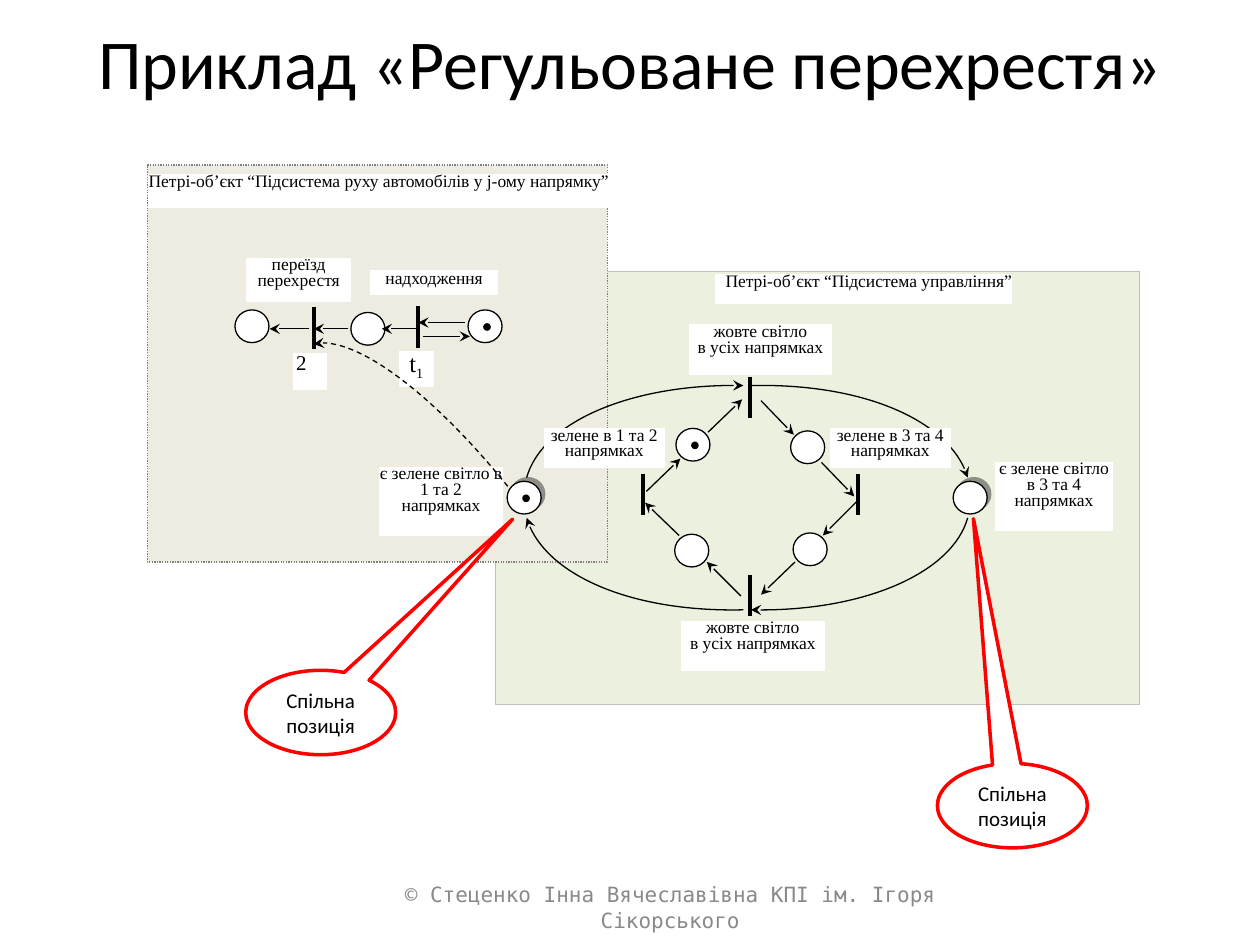
from dataclasses import dataclass

import pptx
import pptx.dml.color
import pptx.enum.dml
import pptx.enum.shapes
import pptx.enum.text
import pptx.oxml
import pptx.oxml.ns
import pptx.util

Inches, Pt = pptx.util.Inches, pptx.util.Pt
SHAPE = pptx.enum.shapes.MSO_SHAPE
ALIGN = pptx.enum.text.PP_ALIGN
ANCHOR = pptx.enum.text.MSO_ANCHOR
DASH = pptx.enum.dml.MSO_LINE
NAMESPACE = pptx.oxml.ns.nsdecls("a")
qn = pptx.oxml.ns.qn

COLORS = {
    "black": "000000", "white": "FFFFFF", "footer": "898989", "callout": "FF0000",
    "control": "EBF1DE", "control_edge": "C0C0C0",
    "movement": "EEECE1", "movement_edge": "808080",
}
SERIF = "Times New Roman"


def rgb(name):
    return pptx.dml.color.RGBColor.from_string(COLORS[name])


def write(shape, text, size, font, color="black", align=ALIGN.CENTER,
          anchor=ANCHOR.MIDDLE, spacing=None, insets=(0.1, 0.05, 0.1, 0.05)):
    frame = shape.text_frame
    frame.word_wrap = True
    frame.vertical_anchor = anchor
    (frame.margin_left, frame.margin_top,
     frame.margin_right, frame.margin_bottom) = map(Inches, insets)
    frame.text = text
    for paragraph in frame.paragraphs:
        paragraph.alignment = align
        paragraph.line_spacing = spacing
        paragraph.font.size = Pt(size)
        paragraph.font.name = font
        paragraph.font.color.rgb = rgb(color)


def add_arrowhead(shape):
    shape.line._get_or_add_ln().append(
        pptx.oxml.parse_xml(f'<a:tailEnd {NAMESPACE} type="stealth"/>'))


def add_hard_shadow(shape):
    properties = shape._element.spPr
    properties.remove(properties.find(qn("a:effectLst")))
    properties.append(pptx.oxml.parse_xml(
        f'<a:effectLst {NAMESPACE}><a:outerShdw dist="38100" dir="18900000">'
        '<a:srgbClr val="000000"><a:alpha val="40000"/></a:srgbClr>'
        '</a:outerShdw></a:effectLst>'))


def bend(shape):
    """Turn the three segments of a freeform into one cubic Bezier curve."""
    segments = list(shape._element.spPr.iter(qn("a:lnTo")))
    outline = segments[0].getparent()
    curve = pptx.oxml.parse_xml(f"<a:cubicBezTo {NAMESPACE}/>")
    for segment in segments:
        curve.append(segment[0])
        outline.remove(segment)
    outline.append(curve)


@dataclass
class Region:
    """Draws Petri net parts, in inches from its own origin."""
    shapes: object
    left: float
    top: float

    def box(self, kind, x, y, width, height, fill="white", edge="white", weight=0.75):
        shape = self.shapes.add_shape(kind, Inches(self.left + x), Inches(self.top + y),
                                      Inches(width), Inches(height))
        shape.shadow.inherit = False
        shape.fill.solid()
        shape.fill.fore_color.rgb = rgb(fill)
        shape.line.color.rgb = rgb(edge)
        shape.line.width = Pt(weight)
        return shape

    def label(self, x, y, width, height, text, size=10, align=ALIGN.CENTER,
              insets=(0, 0, 0, 0)):
        shape = self.box(SHAPE.RECTANGLE, x, y, width, height)
        write(shape, text, size, SERIF, align=align, anchor=ANCHOR.TOP,
              spacing=0.75, insets=insets)
        return shape

    def place(self, x, y, token=False, shared=False):
        """Petri net place centred on (x, y)."""
        shape = self.box(SHAPE.OVAL, x - 0.135, y - 0.13, 0.27, 0.26, edge="black")
        if shared:
            add_hard_shadow(shape)
        if token:
            self.box(SHAPE.OVAL, x - 0.01, y - 0.02, 0.05, 0.05, "black", "black")

    def line(self, start, end, weight=0.75):
        connector = self.shapes.add_connector(
            pptx.enum.shapes.MSO_CONNECTOR.STRAIGHT,
            Inches(self.left + start[0]), Inches(self.top + start[1]),
            Inches(self.left + end[0]), Inches(self.top + end[1]))
        connector.line.color.rgb = rgb("black")
        connector.line.width = Pt(weight)
        connector._element.spPr.append(
            pptx.oxml.parse_xml(f"<a:effectLst {NAMESPACE}/>"))
        return connector

    def arrow(self, start, end):
        add_arrowhead(self.line(start, end))

    def transition(self, x, y):
        """Vertical bar centred on (x, y)."""
        self.line((x, y - 0.17), (x, y + 0.16), 2.25)

    def curved_arrow(self, points, dash=None):
        start, *rest = [(Inches(self.left + x), Inches(self.top + y)) for x, y in points]
        builder = self.shapes.build_freeform(*start)
        builder.add_line_segments(rest, close=False)
        shape = builder.convert_to_shape()
        bend(shape)
        shape.shadow.inherit = False
        shape.fill.background()
        shape.line.color.rgb = rgb("black")
        shape.line.width = Pt(0.75)
        if dash:
            shape.line.dash_style = dash
        add_arrowhead(shape)


def draw_movement_net(region):
    padding = (0.02, 0.01, 0.02, 0)
    region.label(1.16, 1.5, 0.26, 0.28, "2", 12, ALIGN.JUSTIFY, padding)
    region.label(1.77, 0.84, 1.01, 0.19, "надходження", insets=padding)
    delay = region.label(2, 1.48, 0.27, 0.28, "t", 14, insets=padding)
    subscript = delay.text_frame.paragraphs[0].add_run()
    subscript.text = "1"
    subscript.font._element.set("baseline", "-25000")
    region.label(0.79, 0.74, 0.82, 0.34, "переїзд перехрестя")

    region.place(0.83, 1.28)
    region.place(1.75, 1.3)
    region.place(2.68, 1.28, token=True)
    region.transition(1.32, 1.3)
    region.transition(2.15, 1.29)
    for start, end, y in ((2.52, 2.15, 1.25), (2.19, 2.56, 1.36), (2.15, 1.86, 1.3),
                          (1.59, 1.32, 1.3), (1.28, 0.97, 1.3)):
        region.arrow((start, y), (end, y))
    region.label(0.01, 0.08, 3.79, 0.26,
                 "Петрі-об’єкт “Підсистема руху автомобілів у j-ому напрямку”",
                 align=ALIGN.LEFT)


def draw_control_net(region):
    """Traffic light cycle, drawn around the region's origin."""
    region.label(-0.27, -1.76, 2.35, 0.23, "Петрі-об’єкт “Підсистема управління”",
                 align=ALIGN.RIGHT)
    region.label(1.95, -0.27, 0.93, 0.54, "є зелене світло в 3 та 4 напрямках")
    region.label(-2.94, -0.23, 0.98, 0.54, "є зелене світло в 1 та 2 напрямках")
    for x, token in ((-1.79, True), (1.75, False)):
        region.place(x, 0.01, token, shared=True)

    for side in (-1, 1):
        for level in (-1, 1):
            points = [(side * x - 0.02, level * y + 0.01) for x, y in
                      ((1.75, 0.16), (1.63, 0.59), (0.91, 0.91), (0.03, 0.89))]
            region.curved_arrow(points if side == level else points[::-1])

    for x, y in ((0, -0.78), (0.86, -0.01), (0, 0.79), (-0.85, -0.01)):
        region.transition(x, y)
    for x, y, token in ((0.46, -0.39, False), (0.48, 0.42, False),
                        (-0.46, 0.43, False), (-0.45, -0.41, True)):
        region.place(x, y, token)
    for start, end in (((0.09, -0.76), (0.35, -0.49)), ((0.57, -0.27), (0.83, 0)),
                       ((0.85, 0.04), (0.58, 0.31)), ((0.36, 0.52), (0.09, 0.78)),
                       ((-0.07, 0.79), (-0.34, 0.52)), ((-0.56, 0.31), (-0.83, 0.05)),
                       ((-0.82, -0.04), (-0.55, -0.3)), ((-0.33, -0.51), (-0.06, -0.77))):
        region.arrow(start, end)

    for x, y in ((-0.48, -1.36), (-0.54, 0.99)):
        region.label(x, y, 1.13, 0.39, "жовте світло\nв усіх напрямках")
    for x, directions in ((0.64, "3 та 4"), (-1.63, "1 та 2")):
        region.label(x, -0.54, 0.95, 0.31, f"зелене в {directions}\nнапрямках")


def draw_shared_place_callout(page, x, y, pointer):
    shape = page.box(SHAPE.OVAL_CALLOUT, x, y, 1.19, 0.67, edge="callout", weight=2)
    shape.adjustments[0], shape.adjustments[1] = pointer
    write(shape, "Спільна позиція", 12, "Calibri")


def add_text(page, x, y, width, height, *style):
    textbox = page.shapes.add_textbox(Inches(x), Inches(y), Inches(width), Inches(height))
    write(textbox, *style)


def main():
    presentation = pptx.Presentation()
    presentation.slide_width, presentation.slide_height = Inches(10), Inches(7.5)
    slide = presentation.slides.add_slide(presentation.slide_layouts[6])
    page = Region(slide.shapes, 0, 0)

    add_text(page, 0.5, 0.3, 9, 0.38, "Приклад «Регульоване перехрестя»", 40, "Calibri")
    add_text(page, 3, 7, 4.64, 0.4, "© Стеценко Інна Вячеславівна КПІ ім. Ігоря Сікорського",
             12, "DejaVu Sans Mono", "footer")

    page.box(SHAPE.RECTANGLE, 3.93, 2.15, 5.11, 3.44, "control", "control_edge", 0.25)
    panel = page.box(SHAPE.RECTANGLE, 1.17, 1.31, 3.65, 3.15, "movement", "movement_edge")
    panel.line.dash_style = DASH.ROUND_DOT
    draw_movement_net(Region(slide.shapes, 1.17, 1.31))
    draw_control_net(Region(slide.shapes, 5.95, 3.94))
    page.curved_arrow([(4.03, 3.86), (3.43, 3.12), (2.78, 2.65), (2.49, 2.73)], DASH.DASH)
    draw_shared_place_callout(page, 1.95, 5.32, (1.28, -2.29))
    draw_shared_place_callout(page, 7.44, 6.06, (-0.26, -3.4))

    presentation.save("out.pptx")


if __name__ == "__main__":
    main()
